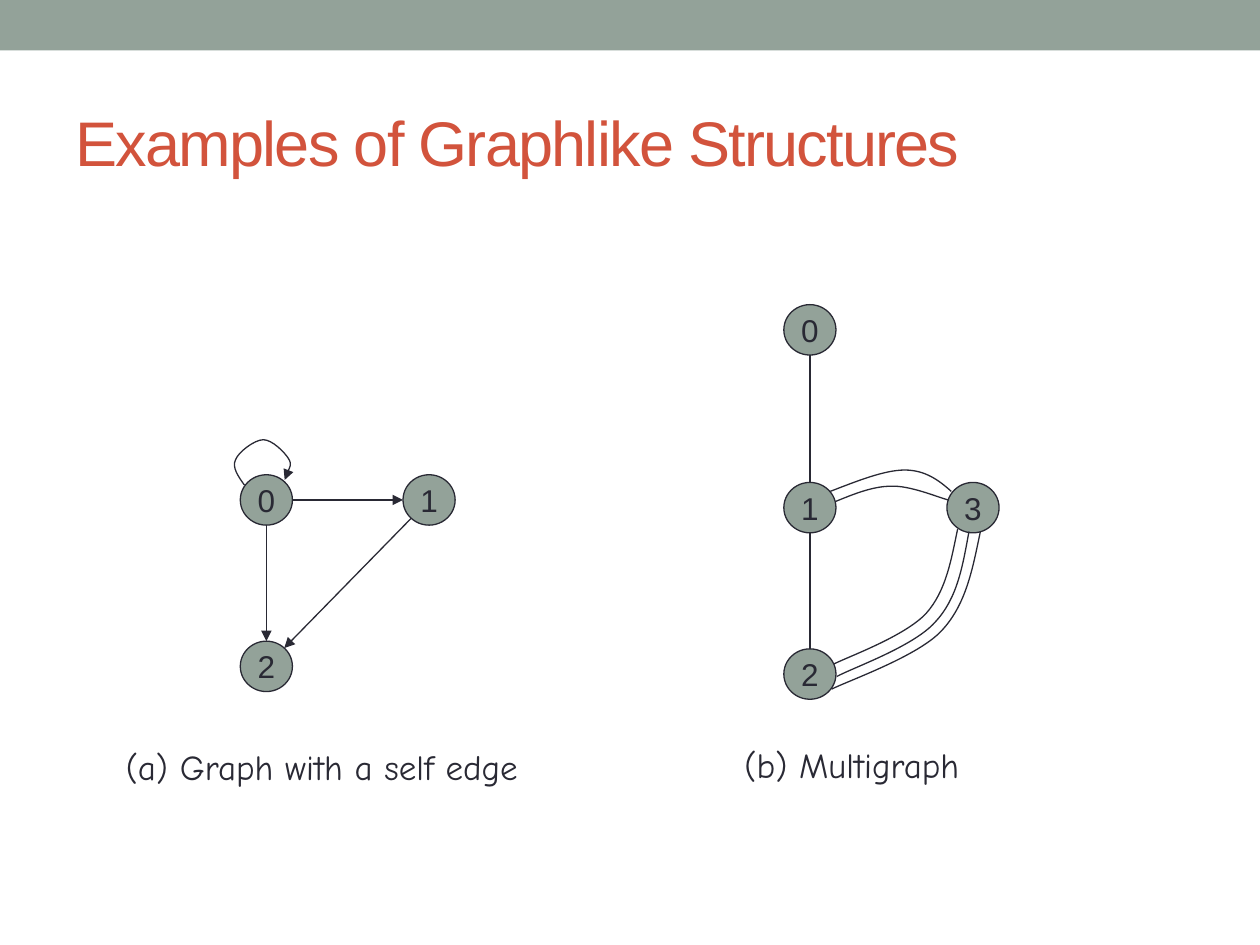
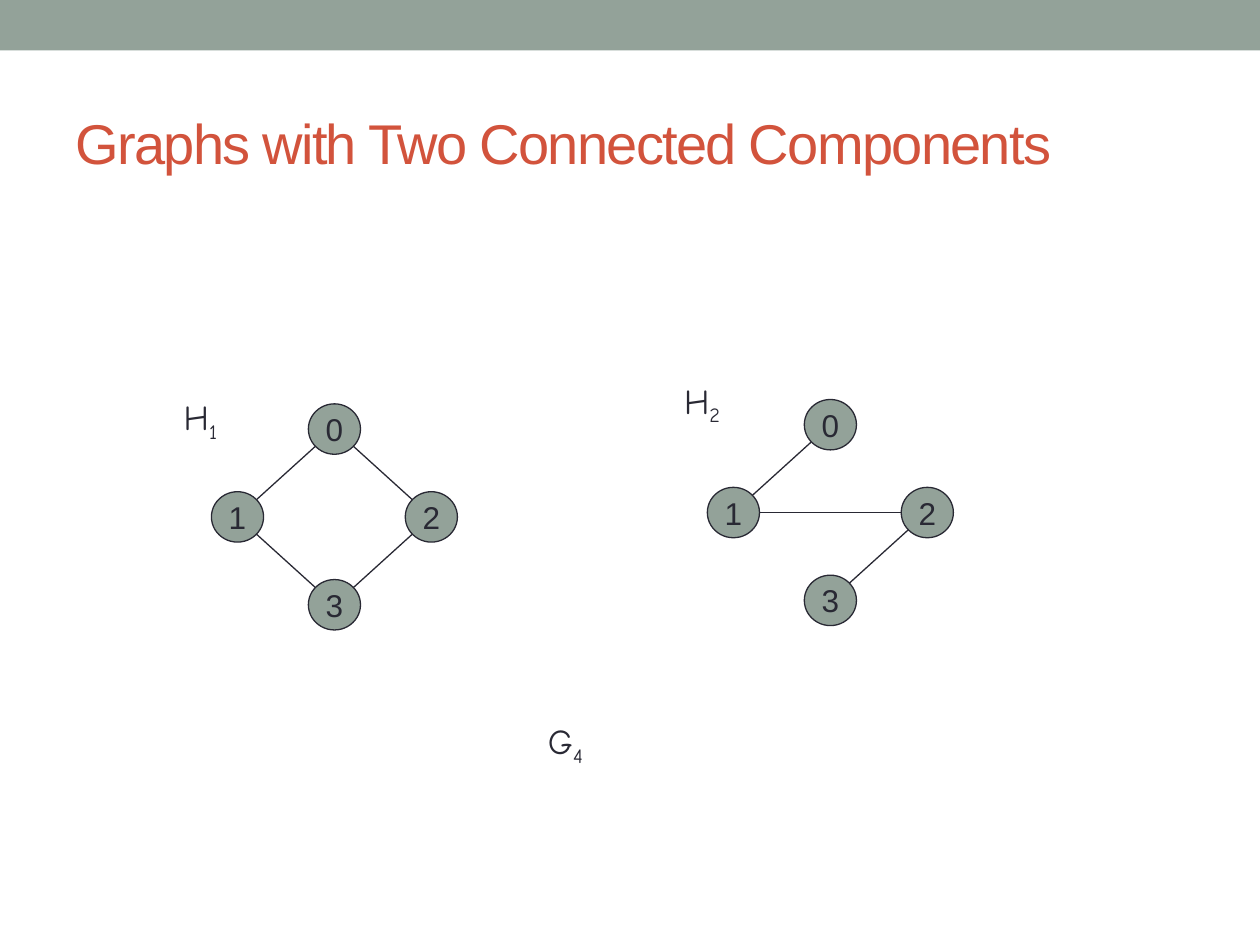
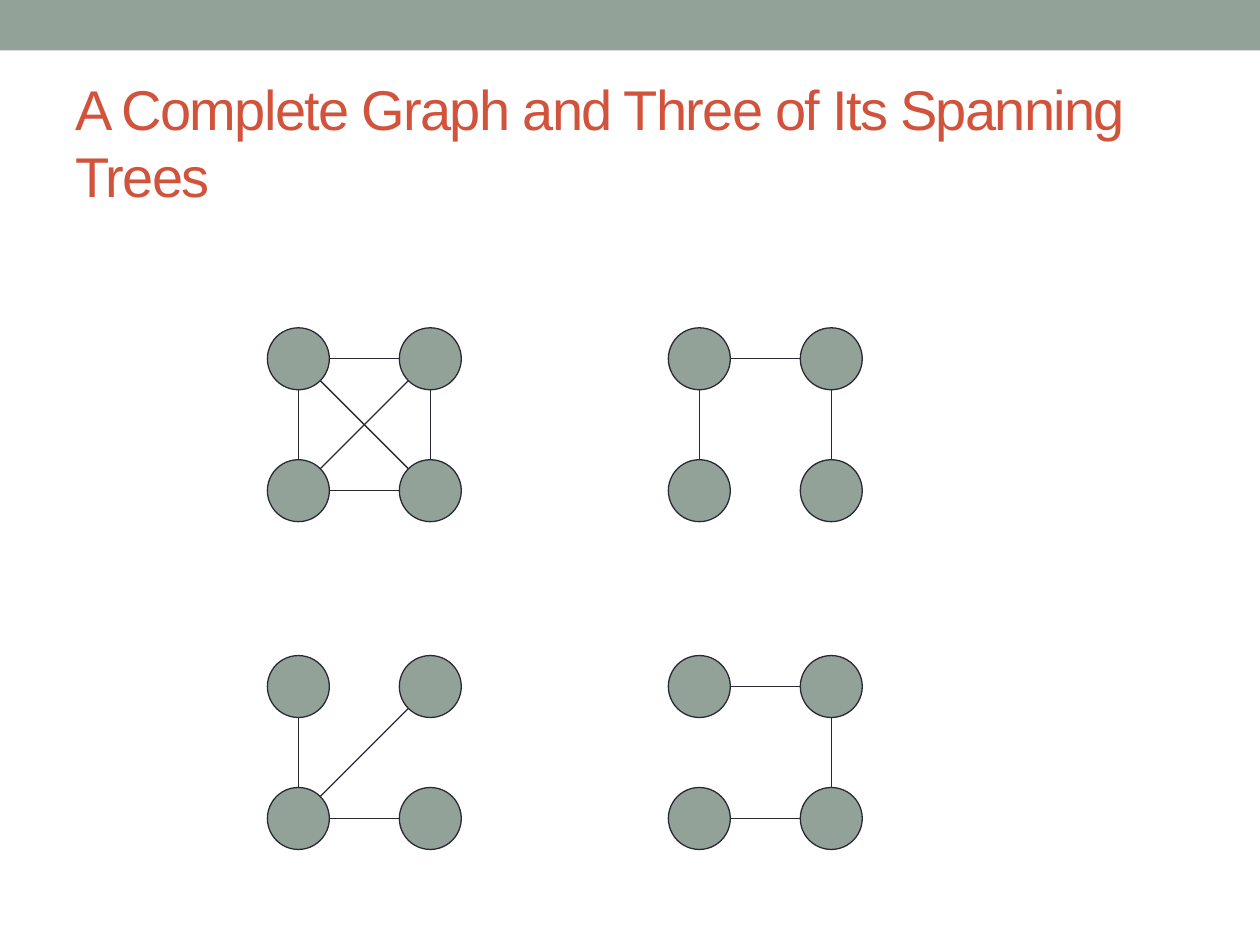
from dataclasses import dataclass
from math import hypot

from pptx import Presentation
from pptx.dml.color import RGBColor
from pptx.enum.shapes import MSO_CONNECTOR, MSO_SHAPE
from pptx.enum.text import MSO_ANCHOR, MSO_AUTO_SIZE, PP_ALIGN
from pptx.oxml.ns import qn
from pptx.oxml.xmlchemy import OxmlElement
from pptx.shapes.autoshape import Shape
from pptx.slide import Slide
from pptx.text.text import _Paragraph
from pptx.util import Pt

RECTANGLE, OVAL = MSO_SHAPE.RECTANGLE, MSO_SHAPE.OVAL
STRAIGHT = MSO_CONNECTOR.STRAIGHT
MIDDLE, CENTER = MSO_ANCHOR.MIDDLE, PP_ALIGN.CENTER
GROW = MSO_AUTO_SIZE.SHAPE_TO_FIT_TEXT

SAGE = RGBColor(0x93, 0xA2, 0x99)
INK = RGBColor(0x29, 0x29, 0x34)
RUST = RGBColor(0xD2, 0x53, 0x3C)

SANS, HAND = "Arial", "Comic Neue"
PAGE_WIDTH, PAGE_HEIGHT = 720, 540
LINE_WIDTH = 0.75

Point = tuple[float, float]


@dataclass(frozen=True)
class Graph:
    """Node centres by name, and edges as pairs of names."""
    nodes: dict[str, Point]
    edges: tuple[str, ...]
    node_size: Point = (29.8, 28.8)
    labelled: bool = True
    directed: bool = False


@dataclass(frozen=True)
class Curve:
    """A start point followed by three Bezier points for each segment."""
    points: tuple[Point, ...]
    arrow: bool = False


@dataclass(frozen=True)
class Caption:
    left: float
    top: float
    width: float
    text: str
    subscript: str = ""


def add_span(para: _Paragraph, text: str, size: float, font: str = SANS,
             color: RGBColor = INK, **attributes: str) -> None:
    span = para.add_run()
    span.text = text
    span.font.name, span.font.size = font, Pt(size)
    span.font.color.rgb = color
    for name, value in attributes.items():
        span.font._element.set(name, value)


def style_line(shape, arrow: bool = False) -> None:
    shape.line.color.rgb = INK
    shape.line.width = Pt(LINE_WIDTH)
    if arrow:
        tail = OxmlElement("a:tailEnd")
        tail.set("type", "triangle")
        shape.line._get_or_add_ln().append(tail)


def add_filled(page: Slide, kind: MSO_SHAPE, left: float, top: float,
               width: float, height: float) -> Shape:
    shape = page.shapes.add_shape(kind, Pt(left), Pt(top), Pt(width), Pt(height))
    shape.shadow.inherit = False
    shape.fill.solid()
    shape.fill.fore_color.rgb = SAGE
    return shape


def add_page(deck, title: str, size: float) -> Slide:
    """Start a slide with the top band and its title."""
    page = deck.slides.add_slide(deck.slide_layouts[6])
    band = add_filled(page, RECTANGLE, 0, 0, PAGE_WIDTH, 28.8)
    band.line.fill.background()
    box = page.shapes.add_textbox(Pt(36), Pt(42), Pt(648), Pt(78))
    box.text_frame.word_wrap = True
    box.text_frame.vertical_anchor = MIDDLE
    add_span(box.text_frame.paragraphs[0], title, size, color=RUST, spc="-100")
    return page


def add_node(page: Slide, center: Point, size: Point, label: str) -> None:
    (x, y), (width, height) = center, size
    node = add_filled(page, OVAL, x - width / 2, y - height / 2, width, height)
    style_line(node)
    if label:
        frame = node.text_frame
        frame.word_wrap = False
        frame.vertical_anchor = MIDDLE
        frame.paragraphs[0].alignment = CENTER
        add_span(frame.paragraphs[0], label, 18)


def add_edge(page: Slide, start: Point, end: Point, size: Point, arrow: bool) -> None:
    """Join two nodes with a line from rim to rim."""
    dx, dy = end[0] - start[0], end[1] - start[1]
    rim = 1 / hypot(2 * dx / size[0], 2 * dy / size[1])
    ends = [Pt(start[0] + rim * dx), Pt(start[1] + rim * dy),
            Pt(end[0] - rim * dx), Pt(end[1] - rim * dy)]
    edge = page.shapes.add_connector(STRAIGHT, *ends)
    style_line(edge, arrow)
    edge._element.spPr.append(OxmlElement("a:effectLst"))


def add_graph(page: Slide, graph: Graph) -> None:
    for name, center in graph.nodes.items():
        add_node(page, center, graph.node_size, name if graph.labelled else "")
    for first, second in graph.edges:
        add_edge(page, graph.nodes[first], graph.nodes[second],
                 graph.node_size, graph.directed)


def add_curve(page: Slide, curve: Curve) -> None:
    points = [(Pt(x), Pt(y)) for x, y in curve.points]
    builder = page.shapes.build_freeform(*points[0], scale=1.0)
    builder.add_line_segments(points[1:], close=False)
    shape = builder.convert_to_shape()
    # Turn each three straight segments into one Bezier segment
    outline = next(shape._element.iter(qn("a:path")))
    segments = outline.findall(qn("a:lnTo"))
    for first in range(0, len(segments), 3):
        bezier = OxmlElement("a:cubicBezTo")
        for segment in segments[first:first + 3]:
            bezier.append(segment[0])
            outline.remove(segment)
        outline.append(bezier)
    shape.shadow.inherit = False
    shape.fill.background()
    style_line(shape, curve.arrow)


def add_caption(page: Slide, caption: Caption) -> None:
    box = page.shapes.add_textbox(Pt(caption.left), Pt(caption.top),
                                  Pt(caption.width), Pt(31))
    box.text_frame.word_wrap = True
    box.text_frame.auto_size = GROW
    para = box.text_frame.paragraphs[0]
    add_span(para, caption.text, 20, HAND)
    if caption.subscript:
        add_span(para, caption.subscript, 20, HAND, baseline="-25000")


def diamond(x: float, y: float, edges: tuple[str, ...]) -> Graph:
    across, down = 55.4, 50.2
    return Graph({"0": (x, y - down), "3": (x, y + down),
                  "1": (x - across, y), "2": (x + across, y)}, edges)


def square(column: int, row: int, edges: tuple[str, ...]) -> Graph:
    """Four plain nodes: a and b on top, c and d below."""
    x, y, side = 170.5 + 229.1 * column, 205 + 187.3 * row, 75.4
    nodes = {name: (x + side * (i % 2), y + side * (i // 2))
             for i, name in enumerate("abcd")}
    return Graph(nodes, edges, node_size=(35.4, 35.4), labelled=False)


# Graphlike structures
SELF_EDGE_GRAPH = Graph(
    {"0": (152.2, 285.7), "2": (152.2, 380.8), "1": (245.2, 285.7)},
    ("02", "01", "12"), directed=True)
MULTIGRAPH = Graph(
    {"1": (462.8, 290.1), "2": (462.8, 385.2), "3": (556, 290.1), "0": (462.8, 188.5)},
    ("01", "12"))
CURVES = (
    # Self edge
    Curve(((139.7, 277.2), (136.1, 272.2), (132.5, 267.1), (134.6, 262.8),
           (136.1, 258.5), (145.4, 251.3), (150.5, 251.3),
           (155.5, 251.3), (162.7, 258.5), (164.9, 262.1),
           (167, 265.7), (163.4, 272.2), (162.7, 274.3)), arrow=True),
    # Node 1 to node 3
    Curve(((474.5, 280.8), (489.6, 275), (505.4, 268.6), (517, 268.6),
           (528.5, 268.6), (536.4, 274.3), (543.6, 280.8))),
    Curve(((477.4, 286.6), (488.2, 282.2), (499, 277.9), (509, 277.9),
           (519.8, 277.2), (536.4, 284.4), (542.2, 285.8))),
    # Node 3 to node 2
    Curve(((547.2, 302.4), (543.6, 319.7), (540.7, 337.7), (529.2, 350.6),
           (517, 363.6), (485.3, 375.1), (476.6, 379.4))),
    Curve(((553.7, 303.8), (550.1, 323.3), (547.2, 342), (534.2, 355.7),
           (522, 369.4), (487.4, 381.6), (478.1, 386.6))),
    Curve(((560.2, 303.8), (555.8, 324.7), (552.2, 345.6), (537.8, 360.7),
           (524.2, 375.1), (485.3, 388.8), (475.2, 393.8))),
)
STRUCTURE_CAPTIONS = (
    Caption(64.8, 422.6, 259.2, "(a) Graph with a self edge"),
    Caption(418.3, 421.2, 169.2, "(b) Multigraph"),
)

# Connected components
COMPONENTS = (
    diamond(191.1, 295.4, ("23", "01", "13", "02")),
    diamond(474.5, 292.9, ("12", "23", "01")),
)
COMPONENT_CAPTIONS = (
    Caption(306, 407.5, 49, "G", "4"),
    Caption(97.9, 222.5, 49, "H", "1"),
    Caption(383.8, 213.1, 49, "H", "2"),
)

# Complete graph and spanning trees
SPANNING_TREES = (
    square(0, 0, ("ab", "cd", "ca", "db", "ad", "cb")),
    square(1, 0, ("ab", "ca", "db")),
    square(0, 1, ("cd", "ca", "cb")),
    square(1, 1, ("ab", "cd", "db")),
)

PAGES = (
    ("Examples of Graphlike Structures", 36,
     (SELF_EDGE_GRAPH, MULTIGRAPH), CURVES, STRUCTURE_CAPTIONS),
    ("Graphs with Two Connected Components", 32, COMPONENTS, (), COMPONENT_CAPTIONS),
    ("A Complete Graph and Three of Its Spanning Trees", 32, SPANNING_TREES, (), ()),
)


def main() -> None:
    deck = Presentation()
    deck.slide_width, deck.slide_height = Pt(PAGE_WIDTH), Pt(PAGE_HEIGHT)
    for title, size, graphs, curves, captions in PAGES:
        page = add_page(deck, title, size)
        for graph in graphs:
            add_graph(page, graph)
        for curve in curves:
            add_curve(page, curve)
        for caption in captions:
            add_caption(page, caption)
    deck.save("out.pptx")


if __name__ == "__main__":
    main()
